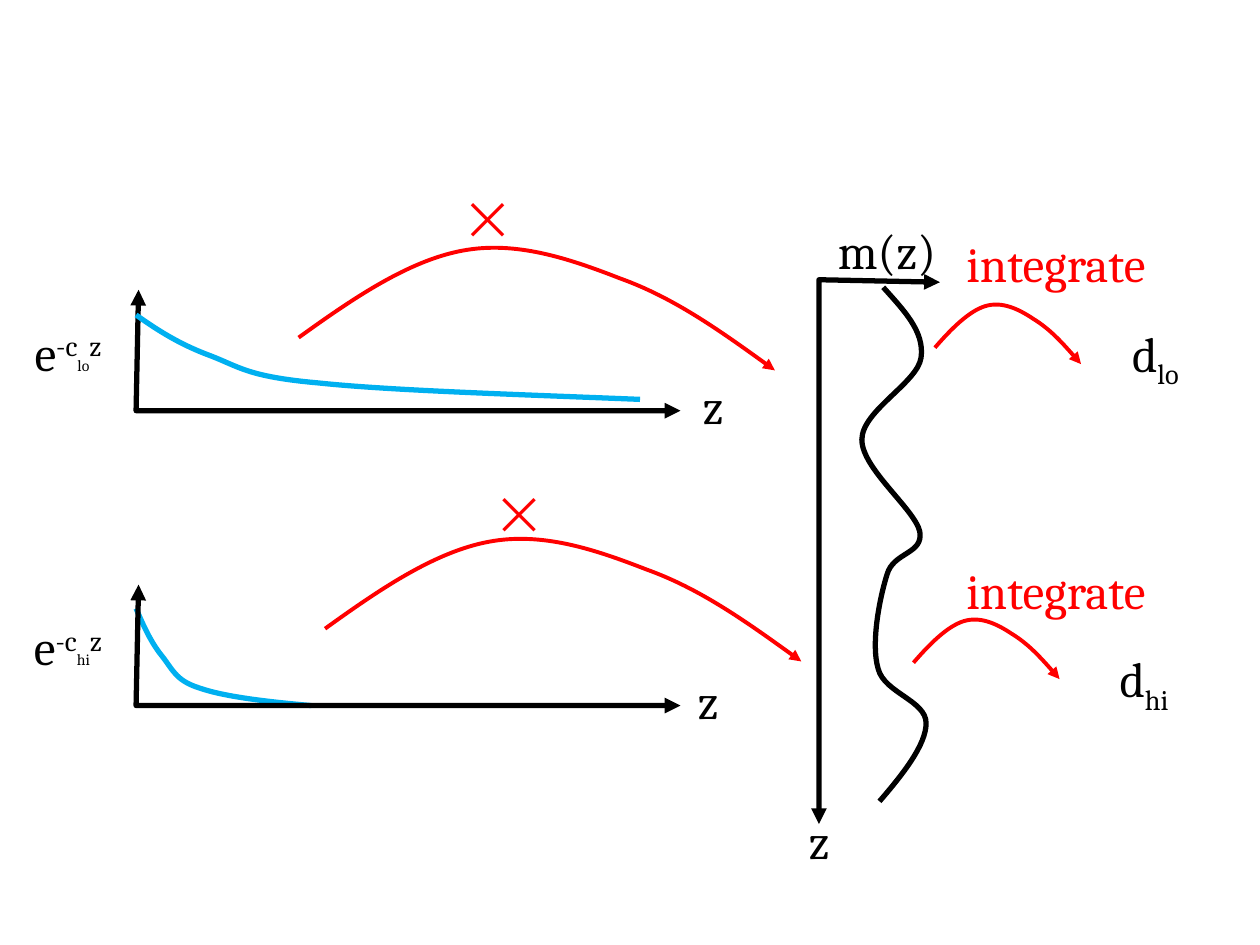
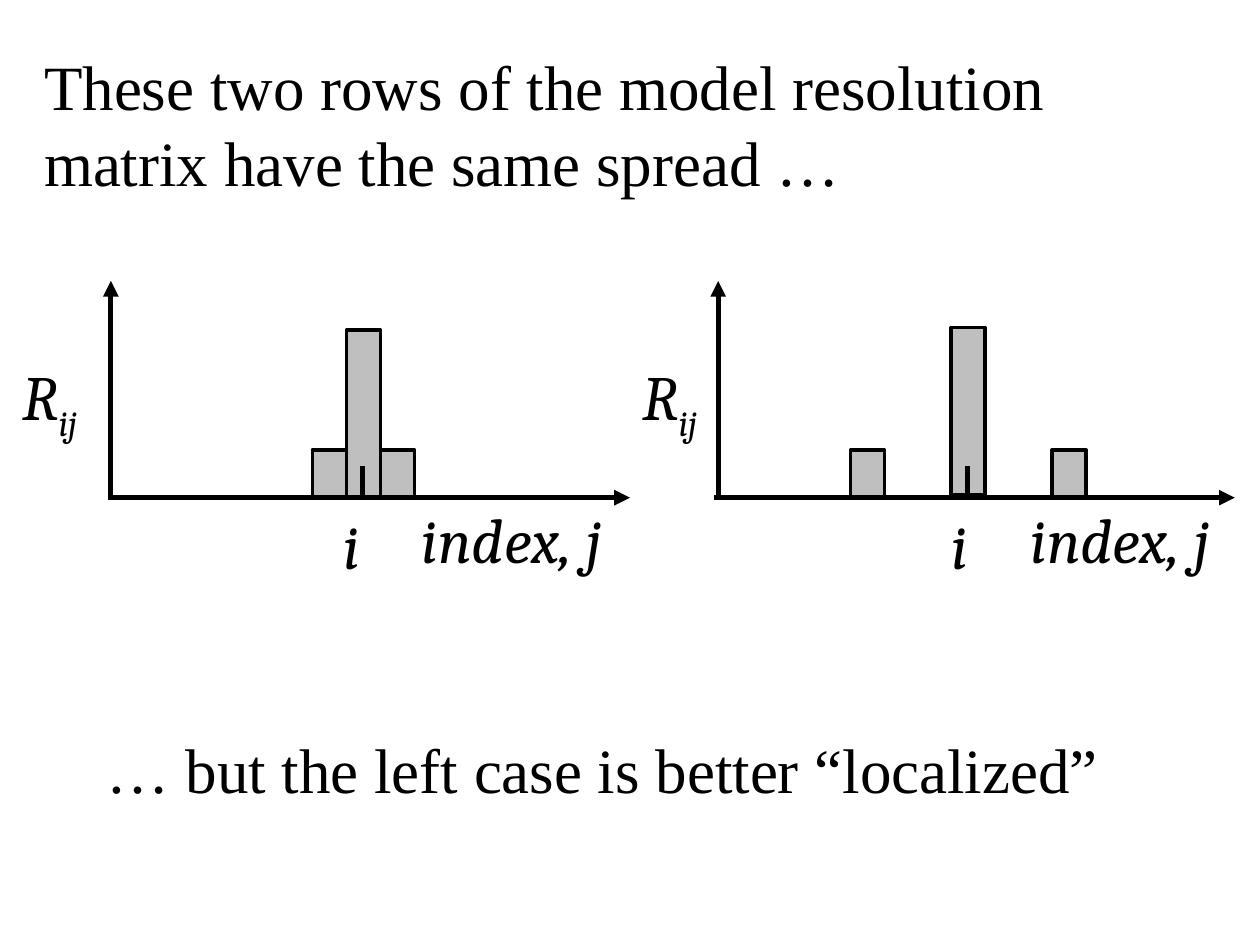
"""Build two slides on model resolution: weighted integrals and localization."""
from dataclasses import dataclass
from typing import NamedTuple

from lxml.etree import SubElement
from pptx import Presentation
from pptx.dml.color import RGBColor
from pptx.enum.shapes import MSO_CONNECTOR, MSO_SHAPE
from pptx.enum.text import MSO_ANCHOR, MSO_AUTO_SIZE, PP_ALIGN
from pptx.oxml.ns import qn
from pptx.util import Inches, Pt

BLACK, RED, BLUE, GREY = "000000", "FF0000", "00B0F0", "BFBFBF"
SERIF, MATH = "Times New Roman", "Cambria"
Point = tuple[float, float]


class Run(NamedTuple):
    """A piece of text with its size and baseline shift in percent."""
    text: str
    size: float
    base: int = 0


@dataclass
class Style:
    """Look of a text box."""
    font: str = MATH
    color: str = BLACK
    italic: bool = False
    centered: bool = True


@dataclass
class Kernel:
    """One decaying weight, its product arc and its integral."""
    name: str
    axis_y: float
    label_y: float
    z_at: Point
    cross_at: Point
    arc_shift: Point
    hop_shift: Point
    integrate_y: float
    datum_at: Point


@dataclass
class Panel:
    """One row of the resolution matrix drawn as bars."""
    axis_x: float
    origin_x: float
    end_x: float
    label_x: float
    peak_x: float
    peak_top: float
    side_gap: float
    i_x: float
    index_x: float
    index_w: float


KERNELS = [
    Kernel("lo", 3.26, 2.58, (5.37, 3.05), (3.58, 1.55), (0, 0), (0, 0),
           1.8, (8.67, 2.67)),
    Kernel("hi", 5.6, 4.92, (5.33, 5.39), (3.83, 3.89), (0.21, 2.31),
           (-0.17, 2.5), 4.39, (8.58, 5.25)),
]
PANELS = [
    Panel(0.88, 0.87, 5, 0.08, 2.75, 2.62, 0.27, 2.63, 3.25, 2.13),
    Panel(5.7, 5.67, 9.8, 5, 7.55, 2.6, 0.8, 7.45, 8.08, 1.92),
]
LO_DECAY = [(1.08, 2.5), (1.25, 2.62), (1.42, 2.73), (1.66, 2.82),
            (1.9, 2.91), (1.96, 2.99), (2.53, 3.04),
            (3.1, 3.1), (4.09, 3.13), (5.08, 3.17)]
HI_DECAY = [(1.08, 4.83), (1.14, 4.97), (1.2, 5.1), (1.28, 5.2),
            (1.37, 5.31), (1.39, 5.4), (1.58, 5.46),
            (1.78, 5.53), (2.12, 5.57), (2.47, 5.6)]
MODEL = [(7.01, 2.28), (7.17, 2.46), (7.34, 2.63), (7.31, 2.84),
         (7.28, 3.04), (6.84, 3.26), (6.84, 3.49),
         (6.84, 3.72), (7.26, 4.04), (7.3, 4.22),
         (7.33, 4.4), (7.09, 4.38), (7.04, 4.56),
         (6.98, 4.75), (6.91, 5.11), (6.97, 5.31),
         (7.02, 5.5), (7.35, 5.56), (7.35, 5.74),
         (7.35, 5.91), (7.17, 6.14), (6.98, 6.36)]
ARC = [(2.37, 2.68), (2.8, 2.37), (3.24, 2.07), (3.67, 1.99),
       (4.09, 1.91), (4.51, 2.05), (4.92, 2.21),
       (5.34, 2.36), (5.75, 2.65), (6.15, 2.94)]
HOP = [(7.42, 2.76), (7.55, 2.61), (7.69, 2.47), (7.82, 2.43),
       (7.95, 2.39), (8.08, 2.45), (8.2, 2.53),
       (8.33, 2.61), (8.46, 2.75), (8.58, 2.89)]


def rgb(color: str) -> RGBColor:
    """Turn a hex string into a colour."""
    return RGBColor.from_string(color)


def set_line(sp, color: str, width: float, *ends: str) -> None:
    """Style an outline and put triangles on the named ends."""
    sp.line.color.rgb = rgb(color)
    sp.line.width = Pt(width)
    ln = sp.element.spPr.find(qn("a:ln"))
    for end in ends:
        SubElement(ln, qn(f"a:{end}")).set("type", "triangle")


def write(sp, runs: list[Run], style: Style) -> None:
    """Fill a text shape run by run."""
    tf = sp.text_frame
    tf.word_wrap = True
    if style.centered:
        tf.auto_size = MSO_AUTO_SIZE.NONE
        tf.vertical_anchor = MSO_ANCHOR.MIDDLE
    else:
        tf.auto_size = MSO_AUTO_SIZE.SHAPE_TO_FIT_TEXT
        tf.vertical_anchor = MSO_ANCHOR.TOP
    p = tf.paragraphs[0]
    p.alignment = PP_ALIGN.CENTER if style.centered else PP_ALIGN.LEFT
    for run in runs:
        r = p.add_run()
        r.text = run.text
        r.font.name = style.font
        r.font.size = Pt(run.size)
        r.font.italic = style.italic
        r.font.color.rgb = rgb(style.color)
        if run.base:
            r.font._element.set("baseline", str(run.base * 1000))


def add_text(s, x: float, y: float, w: float, h: float,
             runs: list[Run], style: Style) -> None:
    """Add a text box."""
    sp = s.shapes.add_textbox(Inches(x), Inches(y), Inches(w), Inches(h))
    write(sp, runs, style)


def set_title(s, x: float, y: float, w: float, h: float,
              runs: list[Run], style: Style) -> None:
    """Place and fill the title placeholder."""
    sp = s.shapes.title
    sp.left, sp.top, sp.width, sp.height = map(Inches, (x, y, w, h))
    write(sp, runs, style)


def add_path(s, points: list[Point], color: str, width: float, *ends: str,
             curved: bool = True) -> None:
    """Draw an open path, through Bezier control points when curved."""
    pts = [(Inches(x), Inches(y)) for x, y in points]
    builder = s.shapes.build_freeform(*pts[0])
    builder.add_line_segments(pts[1:], close=False)
    sp = builder.convert_to_shape()
    sp.shadow.inherit = False
    sp.fill.background()
    set_line(sp, color, width, *ends)
    if curved:
        path = next(sp.element.iter(qn("a:path")))
        steps = path.findall(qn("a:lnTo"))
        for k in range(0, len(steps), 3):
            bezier = SubElement(path, qn("a:cubicBezTo"))
            for step in steps[k:k + 3]:
                bezier.append(step[0])
                path.remove(step)


def add_line(s, start: Point, end: Point, *ends: str) -> None:
    """Draw a straight black line."""
    sp = s.shapes.add_connector(MSO_CONNECTOR.STRAIGHT,
                                *map(Inches, (*start, *end)))
    set_line(sp, BLACK, 3, *ends)
    SubElement(sp.element.spPr, qn("a:effectLst"))


def add_bar(s, x: float, top: float, height: float) -> None:
    """Draw one grey bar."""
    sp = s.shapes.add_shape(MSO_SHAPE.RECTANGLE,
                            *map(Inches, (x, top, 0.27, height)))
    sp.shadow.inherit = False
    sp.fill.solid()
    sp.fill.fore_color.rgb = rgb(GREY)
    set_line(sp, BLACK, 2)


def shifted(points: list[Point], shift: Point) -> list[Point]:
    """Move points by a shift."""
    return [(x + shift[0], y + shift[1]) for x, y in points]


def add_kernel(s, k: Kernel) -> None:
    """Draw the axes, arcs and labels of one kernel."""
    black, red = Style(), Style(color=RED)
    y = k.axis_y
    add_path(s, [(1.1, y - 0.96), (1.08, y), (5.4, y)], BLACK, 3,
             "headEnd", "tailEnd", curved=False)
    add_path(s, shifted(ARC, k.arc_shift), RED, 2.25, "tailEnd")
    add_path(s, shifted(HOP, k.hop_shift), RED, 2.25, "tailEnd")
    label = [Run("e", 28), Run("-c", 28, 30), Run(k.name, 9), Run("z", 28, 30)]
    place = set_title if k.name == "hi" else add_text
    place(s, 0, k.label_y, 1.08, 0.42, label, black)
    add_text(s, *k.z_at, 0.58, 0.33, [Run("z", 28)], black)
    add_text(s, *k.cross_at, 0.58, 0.33, [Run("\u2a09", 28)], red)
    add_text(s, *k.datum_at, 1, 0.33,
             [Run("d", 28), Run(k.name, 28, -25)], black)
    add_text(s, 7.42, k.integrate_y, 1.92, 0.58, [Run("integrate", 28)], red)


def build_integrals(prs) -> None:
    """Build the slide of kernels multiplied by the model and integrated."""
    s = prs.slides.add_slide(prs.slide_layouts[5])
    add_path(s, HI_DECAY, BLUE, 3)
    for k in KERNELS:
        add_kernel(s, k)
    add_path(s, LO_DECAY, BLUE, 3)
    add_path(s, [(7.46, 2.24), (6.5, 2.22), (6.5, 6.54)], BLACK, 3,
             "headEnd", "tailEnd", curved=False)
    add_path(s, MODEL, BLACK, 3)
    add_text(s, 6.21, 6.5, 0.58, 0.33, [Run("z", 28)], Style())
    add_text(s, 6.25, 1.8, 1.58, 0.37, [Run("m(z)", 28)], Style())


def add_panel(s, p: Panel) -> None:
    """Draw one bar panel with its axes and labels."""
    base = 3.95
    add_bar(s, p.peak_x, p.peak_top, 1.33)
    for x in (p.peak_x - p.side_gap, p.peak_x + p.side_gap):
        add_bar(s, x, 3.57, 0.38)
    add_line(s, (p.axis_x, 2.23), (p.axis_x, 3.97), "headEnd")
    add_line(s, (p.end_x, base), (p.origin_x, base), "headEnd")
    tick = p.peak_x + 0.13
    add_line(s, (tick, 3.7), (tick, 3.97))
    math = Style(italic=True, centered=False)
    add_text(s, p.label_x, 2.79, 0.93, 0.71,
             [Run("R", 36), Run("ij", 36, -25)], math)
    add_text(s, p.index_x, 3.92, p.index_w, 0.71, [Run("index, j", 36)], math)
    add_text(s, p.i_x, 3.97, 0.4, 0.71, [Run("i", 36)], math)


def build_rows(prs) -> None:
    """Build the slide comparing two rows of the resolution matrix."""
    s = prs.slides.add_slide(prs.slide_layouts[5])
    prose = Style(font=SERIF, centered=False)
    title = ("These two rows of the model resolution matrix "
             "have the same spread \u2026")
    set_title(s, 0.25, 0.33, 8.42, 1.31, [Run(title, 36)], prose)
    for p in PANELS:
        add_panel(s, p)
    closing = "\u2026 but the left case is better \u201clocalized\u201d"
    add_text(s, 0.75, 5.75, 8.42, 0.71, [Run(closing, 36)], prose)


def main() -> None:
    """Build and save the presentation."""
    prs = Presentation()
    prs.slide_width, prs.slide_height = Inches(10), Inches(7.5)
    build_integrals(prs)
    build_rows(prs)
    prs.save("out.pptx")


main()
